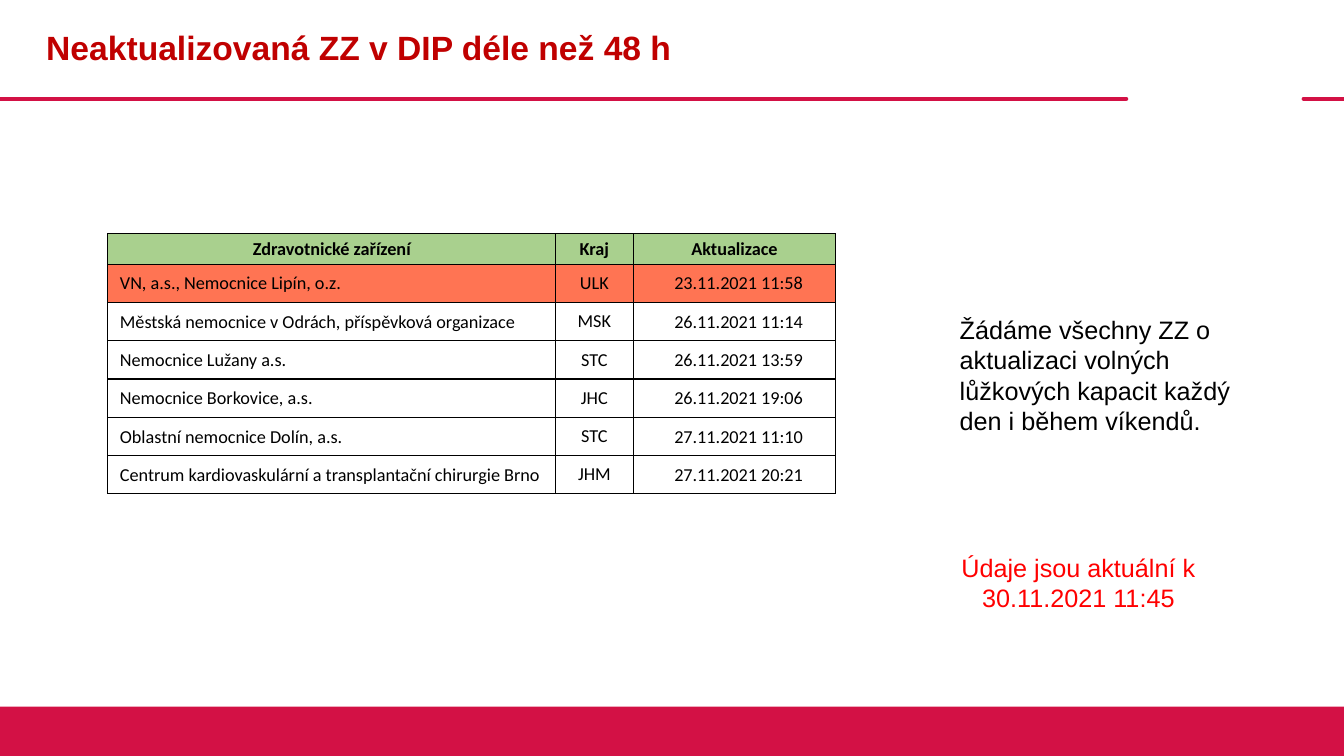
from lxml import etree
from pptx import Presentation
from pptx.dml.color import RGBColor
from pptx.enum import shapes, text
from pptx.oxml import ns
from pptx.util import Inches, Pt

CRIMSON = RGBColor(0xD3, 0x11, 0x45)
DARK_RED = RGBColor(0xC0, 0x00, 0x00)
RED = RGBColor(0xFF, 0x00, 0x00)
BLACK = RGBColor(0x00, 0x00, 0x00)
GREEN = RGBColor(0xA9, 0xD0, 0x8E)
ORANGE = RGBColor(0xFF, 0x74, 0x53)

WIDTH, HEIGHT = 13.33, 7.5
RULE_Y = 0.98
LEFT, CENTER = text.PP_ALIGN.LEFT, text.PP_ALIGN.CENTER

HEADER = ("Zdravotnické zařízení", "Kraj", "Aktualizace")
FACILITIES = [
    ("VN, a.s., Nemocnice Lipín, o.z.", "ULK", "23.11.2021 11:58"),
    ("Městská nemocnice v Odrách, příspěvková organizace", "MSK", "26.11.2021 11:14"),
    ("Nemocnice Lužany a.s.", "STC", "26.11.2021 13:59"),
    ("Nemocnice Borkovice, a.s.", "JHC", "26.11.2021 19:06"),
    ("Oblastní nemocnice Dolín, a.s.", "STC", "27.11.2021 11:10"),
    ("Centrum kardiovaskulární a transplantační chirurgie Brno", "JHM", "27.11.2021 20:21"),
]
COLUMN_WIDTHS = (4.44, 0.77, 2.01)
HEADER_HEIGHT, ROW_HEIGHT = 0.3, 0.38
# Cell margins: left, top, right, bottom
HEADER_MARGINS = (0.01, 0.01, 0.01, 0)
COLUMN_MARGINS = ((0.12, 0.01, 0.01, 0), (0.01, 0.08, 0.01, 0.08), (0.09, 0.01, 0.01, 0))
COLUMN_ALIGNMENTS = (LEFT, CENTER, CENTER)


def set_font(font, color, **values):
    for name, value in values.items():
        setattr(font, name, value)
    font.color.rgb = color


def add_rule(slide, start, end):
    rule = slide.shapes.add_connector(
        shapes.MSO_CONNECTOR.STRAIGHT,
        Inches(start), Inches(RULE_Y), Inches(end), Inches(RULE_Y))
    rule.line.color.rgb = CRIMSON
    rule.line.width = Pt(3)
    rule.line._get_or_add_ln().set("cap", "rnd")
    etree.SubElement(rule._element.spPr, ns.qn("a:effectLst"))


def add_footer_band(slide):
    top = 7.01
    band = slide.shapes.add_shape(
        shapes.MSO_SHAPE.RECTANGLE,
        0, Inches(top), Inches(WIDTH), Inches(HEIGHT - top))
    band.shadow.inherit = False
    band.fill.solid()
    band.fill.fore_color.rgb = CRIMSON
    band.line.fill.background()


def add_text(slide, place, words, color, size=18, bold=False, align=LEFT,
             anchor=text.MSO_ANCHOR.TOP, spacing=1.0):
    box = slide.shapes.add_textbox(*(Inches(length) for length in place))
    frame = box.text_frame
    frame.word_wrap = True
    frame.vertical_anchor = anchor
    para = frame.paragraphs[0]
    para.alignment = align
    para.line_spacing = spacing
    span = para.add_run()
    span.text = words
    set_font(span.font, color, name="Arial", size=Pt(size), bold=bold)


def add_borders(cell):
    properties = cell._tc.get_or_add_tcPr()
    for side in ("lnL", "lnR", "lnT", "lnB"):
        line = etree.SubElement(properties, ns.qn(f"a:{side}"), w=str(Pt(1)))
        fill = etree.SubElement(line, ns.qn("a:solidFill"))
        etree.SubElement(fill, ns.qn("a:srgbClr"), val=str(BLACK))


def fill_cell(cell, words, margins, align, color=None, bold=False):
    add_borders(cell)
    if color is None:
        cell.fill.background()
    else:
        cell.fill.solid()
        cell.fill.fore_color.rgb = color
    for side, margin in zip(("left", "top", "right", "bottom"), margins):
        setattr(cell, f"margin_{side}", Inches(margin))
    cell.vertical_anchor = text.MSO_ANCHOR.MIDDLE
    para = cell.text_frame.paragraphs[0]
    para.alignment = align
    span = para.add_run()
    span.text = words
    set_font(span.font, BLACK, name="Calibri", size=Pt(13), bold=bold)


def add_facility_table(slide):
    row_heights = [HEADER_HEIGHT] + [ROW_HEIGHT] * len(FACILITIES)
    table = slide.shapes.add_table(
        len(row_heights), len(HEADER), Inches(1.07), Inches(2.32),
        Inches(sum(COLUMN_WIDTHS)), Inches(sum(row_heights))).table
    table.first_row = table.horz_banding = False
    for column, width in zip(table.columns, COLUMN_WIDTHS):
        column.width = Inches(width)
    for row, height in zip(table.rows, row_heights):
        row.height = Inches(height)

    for column, words in enumerate(HEADER):
        fill_cell(table.cell(0, column), words, HEADER_MARGINS, CENTER, GREEN, bold=True)
    for row, facility in enumerate(FACILITIES, start=1):
        color = ORANGE if row == 1 else None
        for column, words in enumerate(facility):
            fill_cell(table.cell(row, column), words, COLUMN_MARGINS[column],
                      COLUMN_ALIGNMENTS[column], color)


def main():
    deck = Presentation()
    deck.slide_width, deck.slide_height = Inches(WIDTH), Inches(HEIGHT)
    slide = deck.slides.add_slide(deck.slide_layouts[6])

    add_rule(slide, 0, 11.17)
    add_rule(slide, 12.93, WIDTH)
    add_footer_band(slide)
    add_text(slide, (0.36, 0, 10.81, RULE_Y), "Neaktualizovaná ZZ v DIP déle než 48 h",
             DARK_RED, size=24, bold=True, anchor=text.MSO_ANCHOR.MIDDLE, spacing=0.9)
    add_text(slide, (9.42, 5.43, 2.55, 0.71), "Údaje jsou aktuální k 30.11.2021 11:45",
             RED, align=CENTER)
    add_text(slide, (9.42, 3.07, 2.99, 1.31),
             "Žádáme všechny ZZ o aktualizaci volných lůžkových kapacit "
             "každý den i během víkendů.", BLACK)
    add_facility_table(slide)

    deck.save("out.pptx")


if __name__ == "__main__":
    main()
